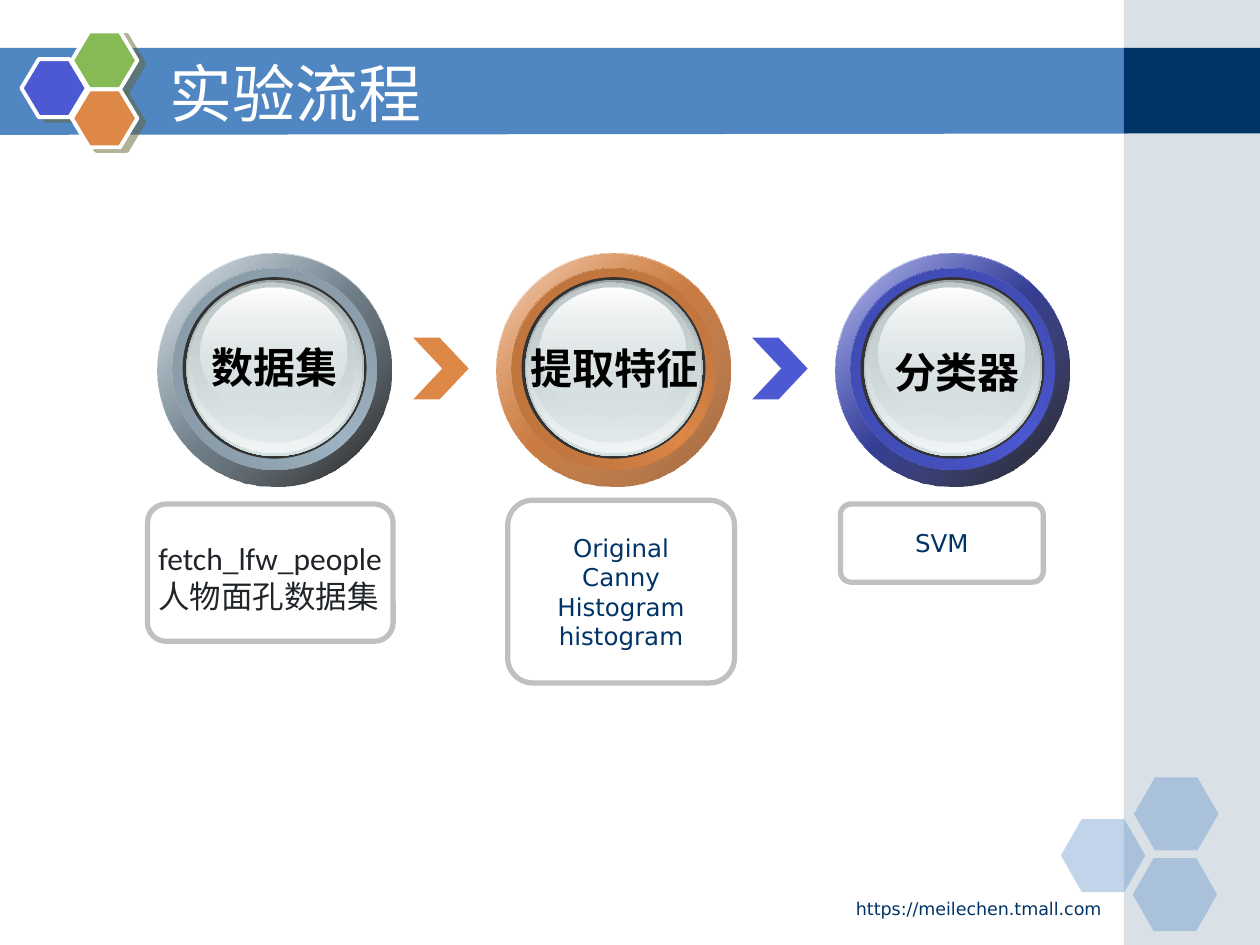
import pptx
import pptx.util
import pptx.dml.color
import pptx.enum.shapes
import pptx.enum.text
import pptx.oxml
import pptx.oxml.ns

Inches = pptx.util.Inches
SHAPE = pptx.enum.shapes.MSO_SHAPE
ALIGN = pptx.enum.text.PP_ALIGN
ANCHOR = pptx.enum.text.MSO_ANCHOR
AUTO = pptx.enum.text.MSO_AUTO_SIZE
NS = pptx.oxml.ns.nsdecls("a")

THEME = {
    "navy": "003366", "band": "5086C2", "mist": "A0B5C4", "white": "FFFFFF",
    "blue": "4C59D2", "green": "85BA54", "orange": "DE8848", "frame": "C0C0C0",
    "rim": "333333", "black": "000000", "ink": "212529", "shadow": "666633",
    "plain": "DejaVu Sans", "label": "Arial", "note": "Calibri",
    "title_size": 36, "label_size": 24, "note_size": 18, "body_size": 14, "link_size": 10,
}

# Content
TITLE = "实验流程"
LINK = "https://meilechen.tmall.com"
DATASET_NOTE = "fetch_lfw_people 人物面孔数据集"
# Ring colour, its two darker tones, the overlay end, label, label place
STEPS = [
    ("mist", "7B8B96", "8395A1", ("000000", 90), "数据集", (1.24, 2.66, 1.88, 0.5), True),
    ("orange", "AA6837", "B6703B", ("9F6134", 100), "提取特征", (4.1, 2.67, 1.55, 0.5), False),
    ("blue", "3A44A1", "3E49AC", ("000000", 90), "分类器", (6.99, 2.7, 1.21, 0.5), False),
]
FRAMES = [
    ((1.17, 4, 1.95, 1.09), []),
    ((4.03, 3.97, 1.8, 1.45), ["Original", "Canny", "Histogram", "histogram"]),
    ((6.67, 4, 1.61, 0.62), ["SVM"]),
]
LOGO_HEXAGONS = [(0.17, 0.47, "blue"), (0.57, 0.25, "green"), (0.57, 0.71, "orange")]
CORNER_HEXAGONS = [(8.42, 6.5), (9, 6.17), (8.99, 6.81)]
# Glass face layers: offset from the badge, size, gradient stops
GLASS = [
    ((0.23, 0.21, 1.41, 1.4), [(0, "99A1A2", 100), (100, "D6E1E2", 100)]),
    ((0.24, 0.22, 1.38, 1.36), [(0, "D6E1E2", 0), (100, "F2F5F5", 100)]),
    ((0.26, 0.23, 1.31, 1.27), [(0, "C1CBCC", 100), (100, "D6E1E2", 48)]),
    ((0.34, 0.27, 1.16, 1.03), [(0, "FFFFFF", 100), (100, "D6E1E2", 38)]),
]
BADGE_LEFT, BADGE_TOP, BADGE_PITCH = 1.25, 2.01, 2.69

deck = pptx.Presentation()
deck.slide_width, deck.slide_height = Inches(10), Inches(7.5)
slide = deck.slides.add_slide(deck.slide_layouts[6])


def rgb(name):
    return pptx.dml.color.RGBColor.from_string(THEME[name])


def color_xml(value, alpha):
    return f'<a:srgbClr val="{value}"><a:alpha val="{alpha * 1000}"/></a:srgbClr>'


def style(shape, fill=None, line=None, width=0):
    shape.shadow.inherit = False
    if fill:
        shape.fill.solid()
        shape.fill.fore_color.rgb = rgb(fill)
    else:
        shape.fill.background()
    if line:
        shape.line.color.rgb = rgb(line)
        shape.line.width = pptx.util.Pt(width)
    else:
        shape.line.fill.background()
    return shape


def add_shape(kind, place, fill=None, line=None, width=0, alpha=100, adjust=None):
    shape = slide.shapes.add_shape(kind, *map(Inches, place))
    style(shape, fill, line, width)
    if adjust is not None:
        shape.adjustments[0] = adjust
    if alpha < 100:
        color = shape.fill._xPr.find(".//" + pptx.oxml.ns.qn("a:srgbClr"))
        color.append(pptx.oxml.parse_xml(f'<a:alpha {NS} val="{alpha * 1000}"/>'))
    return shape


def add_gradient_disc(place, stops, angle):
    disc = add_shape(SHAPE.OVAL, place)
    stops_xml = "".join(f'<a:gs pos="{position * 1000}">{color_xml(value, alpha)}</a:gs>'
                        for position, value, alpha in stops)
    gradient = pptx.oxml.parse_xml(
        f'<a:gradFill {NS} rotWithShape="1"><a:gsLst>{stops_xml}</a:gsLst>'
        f'<a:lin ang="{angle * 60000}" scaled="1"/></a:gradFill>')
    properties = disc._element.spPr
    properties.replace(properties.find(pptx.oxml.ns.qn("a:noFill")), gradient)


def write(box, lines, font, size, color, align=ALIGN.LEFT, bold=False,
          anchor=ANCHOR.TOP, wrap=True, auto=AUTO.NONE):
    frame = box.text_frame
    frame.word_wrap, frame.vertical_anchor, frame.auto_size = wrap, anchor, auto
    for index, line in enumerate(lines):
        para = frame.add_paragraph() if index else frame.paragraphs[0]
        para.text, para.alignment = line, align
        para.font.name, para.font.size = THEME[font], pptx.util.Pt(THEME[size])
        para.font.color.rgb, para.font.bold = rgb(color), bold


def add_text(place, line, *args, **options):
    write(slide.shapes.add_textbox(*map(Inches, place)), [line], *args, **options)


# Title band and side column
builder = slide.shapes.build_freeform(Inches(-0.01), Inches(0.38))
builder.add_line_segments([(Inches(x), Inches(y)) for x, y in
                           [(8.95, 0.38), (8.95, 1.06), (-0.01, 1.07)]], close=True)
style(builder.convert_to_shape(), "band")
add_shape(SHAPE.RECTANGLE, (8.92, 0, 1.08, 7.5), "mist", alpha=40)
add_shape(SHAPE.RECTANGLE, (8.92, 0.38, 1.08, 0.68), "navy")

# Hexagons
for left, top in CORNER_HEXAGONS:
    add_shape(SHAPE.HEXAGON, (left, top, 0.67, 0.58), "band", alpha=35, adjust=0.286)
for left, top, fill in LOGO_HEXAGONS:
    hexagon = add_shape(SHAPE.HEXAGON, (left, top, 0.52, 0.46), fill, "white", 2.25, adjust=0.3)
    effects = hexagon._element.spPr.find(pptx.oxml.ns.qn("a:effectLst"))
    effects.append(pptx.oxml.parse_xml(
        f'<a:outerShdw {NS} dist="{pptx.util.Pt(4.5)}" dir="{27 * 60000}" algn="ctr" '
        f'rotWithShape="0">{color_xml(THEME["shadow"], 50)}</a:outerShdw>'))

# Title and link
add_text((1.25, 0.42, 7.33, 0.62), TITLE, "plain", "title_size", "white", anchor=ANCHOR.MIDDLE)
add_text((5.67, 7.08, 3.17, 0.26), LINK, "plain", "link_size", "navy", ALIGN.RIGHT)

# Detail frames
for place, lines in FRAMES:
    box = add_shape(SHAPE.ROUNDED_RECTANGLE, place, line="frame", width=3, adjust=0.137)
    write(box, lines, "plain", "body_size", "navy", ALIGN.CENTER, anchor=ANCHOR.MIDDLE)
add_text((1.16, 4.23, 2, 0.71), DATASET_NOTE, "note", "note_size", "ink",
         auto=AUTO.SHAPE_TO_FIT_TEXT)

# Chevrons between the steps
for index, fill in enumerate(["orange", "blue"]):
    add_shape(SHAPE.CHEVRON, (3.28 + BADGE_PITCH * index, 2.68, 0.44, 0.49), fill, adjust=0.525)

# Step badges: metal ring, dark rim, glass face, label
for index, (ring, dark, medium, end, label, place, wrap) in enumerate(STEPS):
    left, top, tone = BADGE_LEFT + BADGE_PITCH * index, BADGE_TOP, THEME[ring]
    outer = (left, top, 1.86, 1.85)
    inner = (left + 0.12, top + 0.12, 1.62, 1.6)
    add_gradient_disc(outer, [(0, "FFFFFF", 100), (50, tone, 100), (100, "FFFFFF", 100)], 45)
    add_gradient_disc(outer, [(0, tone, 32), (100, *end)], 45)
    add_gradient_disc(inner, [(0, dark, 100), (50, tone, 100), (100, dark, 100)], 315)
    add_gradient_disc(inner, [(0, medium, 100), (100, tone, 0)], 45)
    add_shape(SHAPE.OVAL, (left + 0.2, top + 0.19, 1.46, 1.44), "rim")
    for (across, down, width, height), stops in GLASS:
        add_gradient_disc((left + across, top + down, width, height), stops, 90)
    add_text(place, label, "label", "label_size", "black", ALIGN.CENTER, bold=True,
             wrap=wrap, auto=AUTO.SHAPE_TO_FIT_TEXT)

deck.save("out.pptx")
